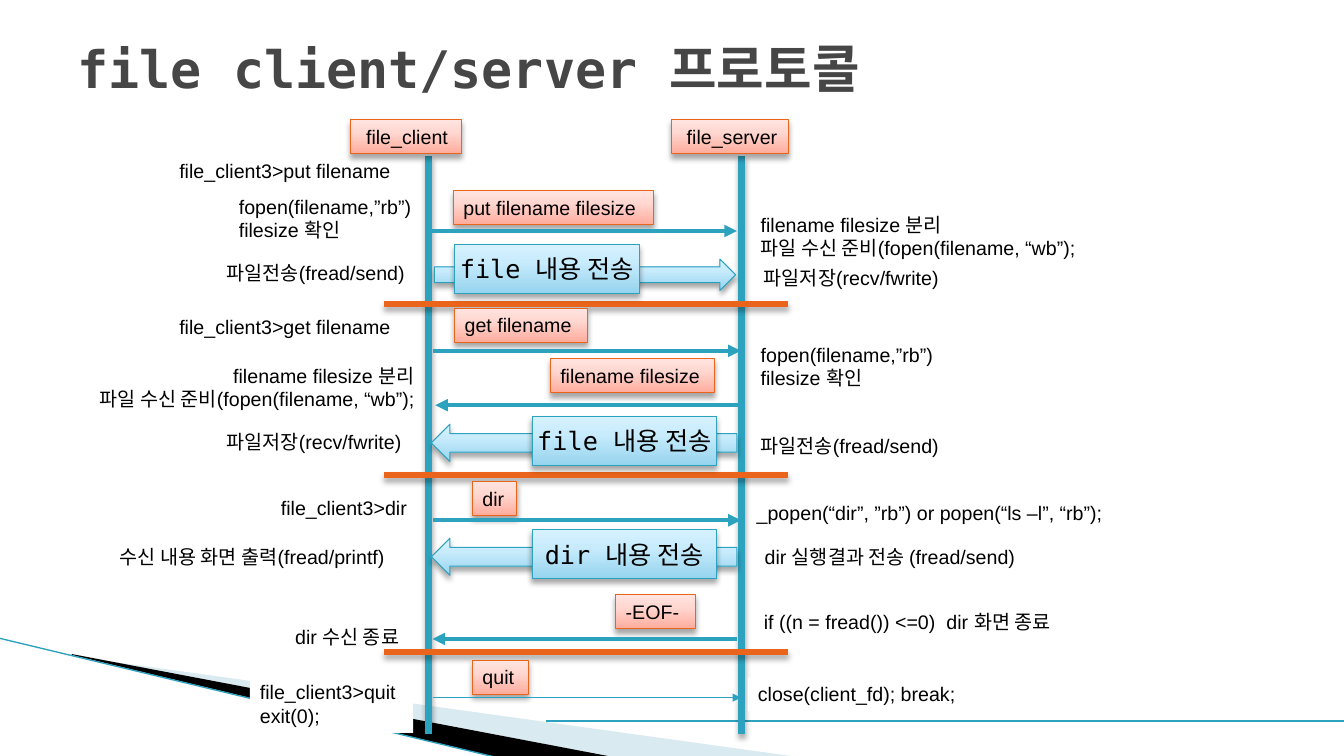
from dataclasses import dataclass

from lxml import etree
from pptx import Presentation
from pptx.dml.color import RGBColor
from pptx.enum.shapes import MSO_CONNECTOR, MSO_SHAPE
from pptx.enum.text import MSO_ANCHOR, MSO_AUTO_SIZE, PP_ALIGN
from pptx.oxml.ns import qn
from pptx.util import Cm, Pt

STRAIGHT = MSO_CONNECTOR.STRAIGHT
RECTANGLE = MSO_SHAPE.RECTANGLE
RIGHT_ARROW, LEFT_ARROW = MSO_SHAPE.RIGHT_ARROW, MSO_SHAPE.LEFT_ARROW
LEFT, CENTER, RIGHT = PP_ALIGN.LEFT, PP_ALIGN.CENTER, PP_ALIGN.RIGHT
TOP, MIDDLE = MSO_ANCHOR.TOP, MSO_ANCHOR.MIDDLE
FIXED_SIZE = MSO_AUTO_SIZE.NONE


@dataclass(frozen=True)
class Theme:
    sans: str = "Arial"
    mono: str = "DejaVu Sans Mono"
    title_size: float = 36.9
    transfer_size: float = 18
    body_size: float = 14
    ink: str = "000000"
    paper: str = "FFFFFF"
    title: str = "464646"
    teal: str = "2DA2BF"
    orange: str = "EB641B"
    pale_wave: str = "A0CBDC"
    pink_stops: tuple = ((0, "FFAC9C"), (65, "FFD8D2"), (100, "FFE4DF"))
    blue_stops: tuple = ((0, "96D4EE"), (65, "C9ECFC"), (100, "D7F2FF"))


def write_text(frame, text, *, font, size, color, bold=False, align=LEFT,
               anchor=TOP, inset=None):
    frame.word_wrap = True
    frame.auto_size = FIXED_SIZE
    frame.vertical_anchor = anchor
    if inset is not None:
        frame.margin_left = frame.margin_right = Cm(inset)
        frame.margin_top = frame.margin_bottom = Cm(inset)
    frame.text = text
    for paragraph in frame.paragraphs:
        paragraph.alignment = align
        for run in paragraph.runs:
            run.font.name = font
            run.font.size = Pt(size)
            run.font.bold = bold
            run.font.color.rgb = RGBColor.from_string(color)


class SequenceSlide:
    def __init__(self, slide, theme):
        self.slide, self.shapes, self.theme = slide, slide.shapes, theme
        self.body = dict(font=theme.sans, size=theme.body_size, color=theme.ink)

    def _color_xml(self, parent, color, alpha=100):
        node = etree.SubElement(parent, qn("a:srgbClr"), val=color)
        if alpha < 100:
            etree.SubElement(node, qn("a:alpha"), val=str(alpha * 1000))

    def _effects(self, shape, shadow):
        effects = etree.SubElement(shape.element.spPr, qn("a:effectLst"))
        if shadow:
            outer = etree.SubElement(
                effects, qn("a:outerShdw"), blurRad=str(Pt(4)), dist=str(Pt(3)),
                dir="5400000", algn="ctr", rotWithShape="0")
            self._color_xml(outer, self.theme.ink, 35)

    def _gradient(self, shape, stops):
        shape.fill.gradient()
        shape.fill.gradient_angle = 90
        stop_list = shape.element.spPr.find(".//" + qn("a:gsLst"))
        for old_stop in list(stop_list):
            stop_list.remove(old_stop)
        for position, color in stops:
            stop = etree.SubElement(stop_list, qn("a:gs"), pos=str(position * 1000))
            self._color_xml(stop, color)

    def title(self, text):
        holder = self.shapes.title
        holder.left, holder.top = Cm(1.7), Cm(0.76)
        holder.width, holder.height = Cm(30.48), Cm(1.88)
        write_text(holder.text_frame, text, font=self.theme.mono, bold=True,
                   size=self.theme.title_size, color=self.theme.title, anchor=MIDDLE)

    def wave(self, points, color, alpha=100):
        start, *others = [(Cm(x), Cm(y)) for x, y in points]
        builder = self.shapes.build_freeform(*start, scale=1.0)
        builder.add_line_segments(others, close=True)
        shape = builder.convert_to_shape()
        shape.fill.solid()
        shape.fill.fore_color.rgb = RGBColor.from_string(color)
        if alpha < 100:
            fill_color = shape.element.spPr.find(qn("a:solidFill"))[0]
            etree.SubElement(fill_color, qn("a:alpha"), val=str(alpha * 1000))
        shape.line.fill.background()
        self._effects(shape, False)

    def line(self, x1, y1, x2, y2, color, width, arrow=False, shadow=False):
        connector = self.shapes.add_connector(STRAIGHT, Cm(x1), Cm(y1), Cm(x2), Cm(y2))
        connector.line.color.rgb = RGBColor.from_string(color)
        connector.line.width = Pt(width)
        if arrow:
            outline = connector.element.spPr.find(qn("a:ln"))
            etree.SubElement(outline, qn("a:tailEnd"), type="triangle")
        self._effects(connector, shadow)

    def block(self, x, y, width, height, stops, edge, kind=RECTANGLE):
        shape = self.shapes.add_shape(kind, Cm(x), Cm(y), Cm(width), Cm(height))
        self._gradient(shape, stops)
        shape.line.color.rgb = RGBColor.from_string(edge)
        shape.line.width = Pt(0.75)
        self._effects(shape, True)
        return shape

    def label(self, x, y, width, text):
        shape = self.block(x, y, width, 0.86, self.theme.pink_stops, self.theme.orange)
        write_text(shape.text_frame, text, **self.body)

    def transfer(self, arrow_box, kind, x, y, text):
        self.block(*arrow_box, self.theme.blue_stops, self.theme.teal, kind)
        shape = self.block(x, y, 4.65, 1.24, self.theme.blue_stops, self.theme.teal)
        write_text(shape.text_frame, text, font=self.theme.mono, color=self.theme.ink,
                   size=self.theme.transfer_size, align=CENTER, anchor=MIDDLE, inset=0)

    def note(self, x, y, width, text, align=LEFT, backed=False):
        box = Cm(x), Cm(y), Cm(width), Cm(1.45 if "\n" in text else 0.86)
        if backed:
            shape = self.shapes.add_shape(RECTANGLE, *box)
            shape.fill.solid()
            shape.fill.fore_color.rgb = RGBColor.from_string(self.theme.paper)
            shape.line.fill.background()
            self._effects(shape, False)
        else:
            shape = self.shapes.add_textbox(*box)
        write_text(shape.text_frame, text, align=align, **self.body)


def main():
    deck = Presentation()
    deck.slide_width, deck.slide_height = Cm(33.87), Cm(19.05)
    theme = Theme()
    page = SequenceSlide(deck.slides.add_slide(deck.slide_layouts[5]), theme)

    # Background decoration
    page.wave([(1.85, 16.54), (20.14, 19.08), (15.44, 19.08), (1.85, 16.51)],
              theme.pale_wave, alpha=40)
    page.wave([(1.8, 16.48), (15.47, 19.08), (12.6, 19.1), (1.83, 16.51)], theme.ink)
    page.line(-0.03, 16.08, 12.57, 19.1, theme.teal, 0.95)
    page.line(13.77, 18.16, 33.87, 18.16, theme.teal, 1.5)

    page.title("file client/server 프로토콜")

    # Lifelines, their heads and the dividers between commands
    for x in (10.8, 18.69):
        page.line(x, 3.94, x, 18.49, theme.teal, 5, shadow=True)
    page.label(8.84, 3.02, 2.79, " file_client")
    page.label(16.92, 3.02, 2.95, " file_server")
    for y in (7.65, 11.96, 16.43):
        page.line(9.68, y, 19.86, y, theme.orange, 4.33, shadow=True)

    # Messages: label box, then arrow start, end, height and weight
    messages = [
        ((11.43, 4.8, 5.05, "put filename filesize"), (10.8, 18.57, 5.82, 3)),
        ((11.46, 7.77, 3.35, "get filename"), (10.9, 18.67, 8.84, 3)),
        ((13.87, 9.04, 4.14, "filename filesize"), (18.64, 10.97, 10.21, 3)),
        ((11.91, 12.14, 1.12, "dir"), (10.9, 18.67, 13.11, 3)),
        ((15.52, 14.99, 2, "-EOF-"), (18.57, 10.9, 16.1, 3)),
        ((11.91, 16.64, 1.4, "quit"), (10.9, 18.67, 17.58, 0.75)),
    ]
    for label, (start, end, y, weight) in messages:
        page.label(*label)
        page.line(start, y, end, y, theme.teal, weight, arrow=True)

    # Content transfers
    page.transfer((10.95, 6.53, 7.59, 0.79), RIGHT_ARROW, 11.46, 6.15, "file 내용 전송")
    page.transfer((10.87, 10.69, 7.7, 0.94), LEFT_ARROW, 13.41, 10.49, "file 내용 전송")
    page.transfer((10.87, 13.56, 7.7, 0.94), LEFT_ARROW, 13.41, 13.34, "dir 내용 전송")

    # Client steps
    page.note(4.27, 3.89, 6.1, "file_client3>put filename")
    page.note(5.77, 4.78, 5.13, "fopen(filename,”rb”)\nfilesize 확인")
    page.note(5.46, 6.45, 5.23, "파일전송(fread/send)")
    page.note(4.27, 7.8, 6.07, "file_client3>get filename")
    page.note(1.73, 9.04, 8.97,
              "filename filesize 분리\n파일 수신 준비(fopen(filename, “wb”);", align=RIGHT)
    page.note(5.46, 10.72, 5.21, "파일저장(recv/fwrite)")
    page.note(6.83, 12.37, 3.84, "file_client3>dir")
    page.note(2.77, 13.61, 7.92, "수신 내용 화면 출력(fread/printf)")
    page.note(7.19, 15.62, 3.45, "dir 수신 종료")
    page.note(6.3, 17.02, 4.11, "file_client3>quit\nexit(0);", backed=True)

    # Server steps
    page.note(18.92, 5.23, 8.97,
              "filename filesize 분리\n파일 수신 준비(fopen(filename, “wb”);")
    page.note(19, 6.58, 5.21, "파일저장(recv/fwrite)")
    page.note(18.92, 8.51, 5.13, "fopen(filename,”rb”)\nfilesize 확인")
    page.note(18.92, 10.8, 5.23, "파일전송(fread/send)")
    page.note(18.82, 12.5, 9.8, "_popen(“dir”, ”rb”) or popen(“ls –l”, “rb”);")
    page.note(19.02, 13.61, 7.34, "dir 실행결과 전송 (fread/send)")
    page.note(19, 15.24, 8.43, "if ((n = fread()) <=0)  dir 화면 종료")
    page.note(18.85, 17.07, 5.51, "close(client_fd); break;", backed=True)

    deck.save("out.pptx")


if __name__ == "__main__":
    main()
